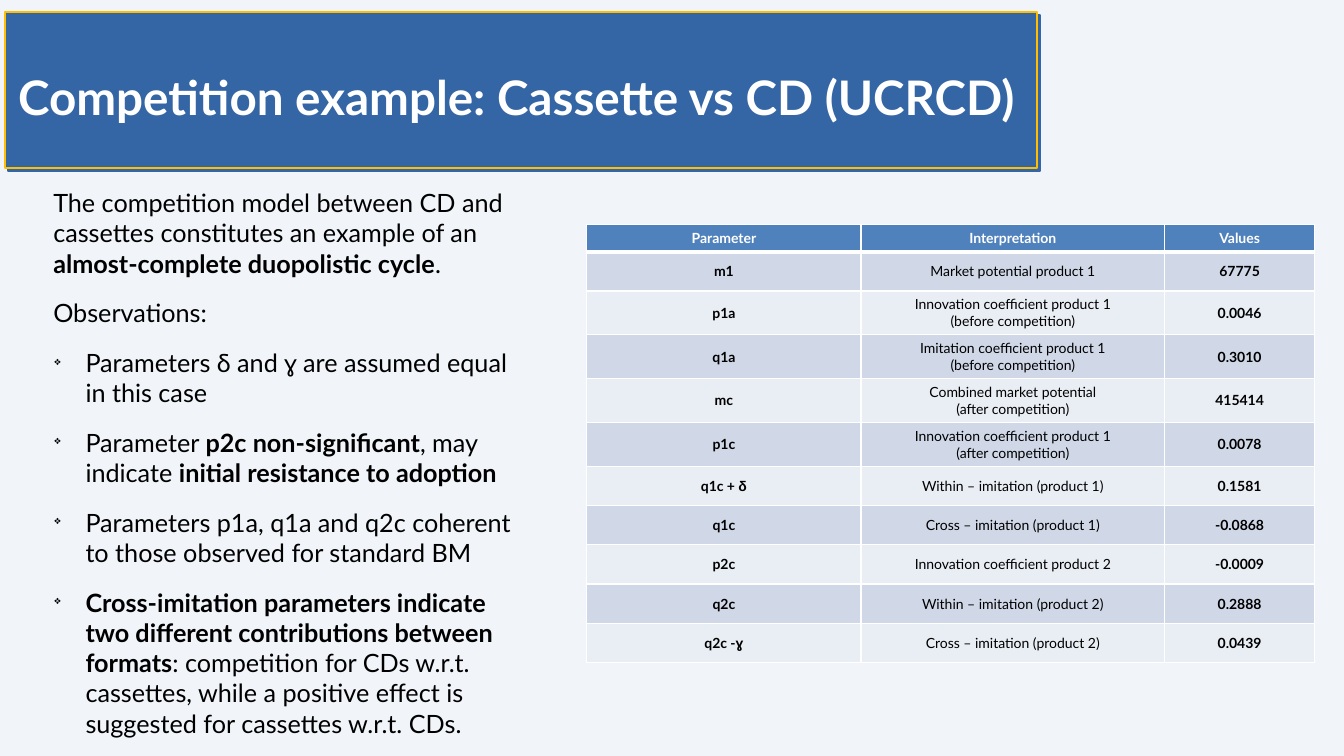
"""Build the slide on the competition between cassettes and CDs."""
from lxml import etree
from pptx import Presentation
from pptx import util as u
from pptx.dml.color import RGBColor
from pptx.enum import shapes, text
from pptx.oxml.ns import qn

COLORS = {
    "background": "F1F5FA", "banner": "3465A4", "edge": "FFBF00",
    "header": "4F81BD", "odd": "D0D8E8", "even": "E9EDF4",
    "white": "FFFFFF", "black": "000000",
}
FONT = "Lato"
SYMBOL_FONT = "Arial"
TITLE = "Competition example: Cassette vs CD (UCRCD)"
INTRO = [
    "The competition model between CD and cassettes constitutes an example of an "
    "**almost-complete duopolistic cycle**.",
    "Observations:",
]
OBSERVATIONS = [
    "Parameters δ and ɣ are assumed equal in this case",
    "Parameter **p2c non-significant**, may indicate **initial resistance to adoption**",
    "Parameters p1a, q1a and q2c coherent to those observed for standard BM",
    "**Cross-imitation parameters indicate two different contributions between formats**"
    ": competition for CDs w.r.t. cassettes, while a positive effect is suggested "
    "for cassettes w.r.t. CDs.",
]
ROWS = [
    ("Parameter", "Interpretation", "Values"),
    ("m1", "Market potential product 1", "67775"),
    ("p1a", "Innovation coefficient product 1\n(before competition)", "0.0046"),
    ("q1a", "Imitation coefficient product 1\n(before competition)", "0.3010"),
    ("mc", "Combined market potential\n(after competition)", "415414"),
    ("p1c", "Innovation coefficient product 1\n(after competition)", "0.0078"),
    ("q1c + δ", "Within – imitation (product 1)", "0.1581"),
    ("q1c", "Cross – imitation (product 1)", "-0.0868"),
    ("p2c", "Innovation coefficient product 2", "-0.0009"),
    ("q2c", "Within – imitation (product 2)", "0.2888"),
    ("q2c -ɣ", "Cross – imitation (product 2)", "0.0439"),
]
COL_WIDTHS = (2.72, 3.01, 1.49)
HEADER_HEIGHT, ROW_HEIGHT, TALL_HEIGHT = 0.26, 0.39, 0.43


def rgb(name):
    return RGBColor.from_string(COLORS[name])


def box(*lengths):
    return [u.Inches(n) for n in lengths]


def add_run(p, words, size, color, bold=False, font=FONT):
    r = p.add_run()
    r.text = words
    r.font.size = u.Pt(size)
    r.font.name = font
    r.font.bold = bold
    r.font.color.rgb = rgb(color)


def add_banner(slide):
    sp = slide.shapes.add_shape(shapes.MSO_SHAPE.RECTANGLE, *box(0.05, 0.12, 10.24, 1.55))
    sp.fill.solid()
    sp.fill.fore_color.rgb = rgb("banner")
    sp.line.color.rgb = rgb("edge")
    sp.line.width = u.Pt(1.42)
    sp.shadow.inherit = False
    effects = sp._element.spPr.find(qn("a:effectLst"))
    shadow = etree.SubElement(effects, qn("a:outerShdw"), dist=str(u.Pt(2.8)),
                              dir="2700000", algn="tl", rotWithShape="0")
    etree.SubElement(shadow, qn("a:srgbClr"), val=COLORS["banner"])


def add_title(slide):
    tf = slide.shapes.add_textbox(*box(0.18, 0.36, 10.15, 1.19)).text_frame
    tf.word_wrap = True
    tf.vertical_anchor = text.MSO_ANCHOR.MIDDLE
    tf.margin_left = tf.margin_right = tf.margin_top = tf.margin_bottom = 0
    add_run(tf.paragraphs[0], TITLE, 34, "white", bold=True)


def add_body(slide):
    tf = slide.shapes.add_textbox(*box(0.29, 1.81, 5.07, 6.13)).text_frame
    tf.word_wrap = True
    tf.auto_size = text.MSO_AUTO_SIZE.SHAPE_TO_FIT_TEXT
    for i, line in enumerate(INTRO + OBSERVATIONS):
        p = tf.add_paragraph() if i else tf.paragraphs[0]
        p.space_after = u.Pt(13.9)
        bulleted = i >= len(INTRO)
        pPr = p._p.get_or_add_pPr()
        pPr.set("marL", str(u.Inches(0.46 if bulleted else 0.14)))
        pPr.set("indent", str(u.Inches(-0.31 if bulleted else 0)))
        if bulleted:
            color = etree.SubElement(pPr, qn("a:buClr"))
            etree.SubElement(color, qn("a:srgbClr"), val=COLORS["black"])
            etree.SubElement(pPr, qn("a:buSzPct"), val="45000")
            etree.SubElement(pPr, qn("a:buChar"), char="❖")
        for j, part in enumerate(line.split("**")):
            if part:
                add_run(p, part, 18, "black", bold=j % 2 == 1)


def style_cell(cell, fill, top, bottom):
    tcPr = cell._tc.get_or_add_tcPr()
    for side, width in (("L", 1), ("R", 1), ("T", top), ("B", bottom)):
        ln = etree.SubElement(tcPr, qn("a:ln" + side), w=str(u.Pt(width)))
        solid = etree.SubElement(ln, qn("a:solidFill"))
        etree.SubElement(solid, qn("a:srgbClr"), val=COLORS["white"])
    cell.fill.solid()
    cell.fill.fore_color.rgb = rgb(fill)
    cell.vertical_anchor = text.MSO_ANCHOR.MIDDLE


def fill_cell(cell, words, color, bold):
    tf = cell.text_frame
    for i, line in enumerate(words.split("\n")):
        p = tf.add_paragraph() if i else tf.paragraphs[0]
        p.alignment = text.PP_ALIGN.CENTER
        label = line.rstrip("δɣ")
        add_run(p, label, 10, color, bold)
        if label != line:
            add_run(p, line[len(label):], 10, color, bold, SYMBOL_FONT)


def add_parameters(slide):
    heights = [HEADER_HEIGHT] + [
        TALL_HEIGHT if "\n" in row[1] else ROW_HEIGHT for row in ROWS[1:]]
    table = slide.shapes.add_table(
        len(ROWS), len(COL_WIDTHS),
        *box(5.82, 2.23, sum(COL_WIDTHS), sum(heights))).table
    for col, width in zip(table.columns, COL_WIDTHS):
        col.width = u.Inches(width)
    for i, row in enumerate(ROWS):
        table.rows[i].height = u.Inches(heights[i])
        fill = "header" if i == 0 else "odd" if i % 2 else "even"
        for j, words in enumerate(row):
            cell = table.cell(i, j)
            style_cell(cell, fill, 3 if i == 1 else 1, 3 if i == 0 else 1)
            fill_cell(cell, words, "black" if i else "white", i == 0 or j != 1)


def main():
    prs = Presentation()
    prs.slide_width, prs.slide_height = box(13.33, 7.5)
    slide = prs.slides.add_slide(prs.slide_layouts[6])
    slide.background.fill.solid()
    slide.background.fill.fore_color.rgb = rgb("background")
    add_banner(slide)
    add_title(slide)
    add_parameters(slide)
    add_body(slide)
    prs.save("out.pptx")


if __name__ == "__main__":
    main()
